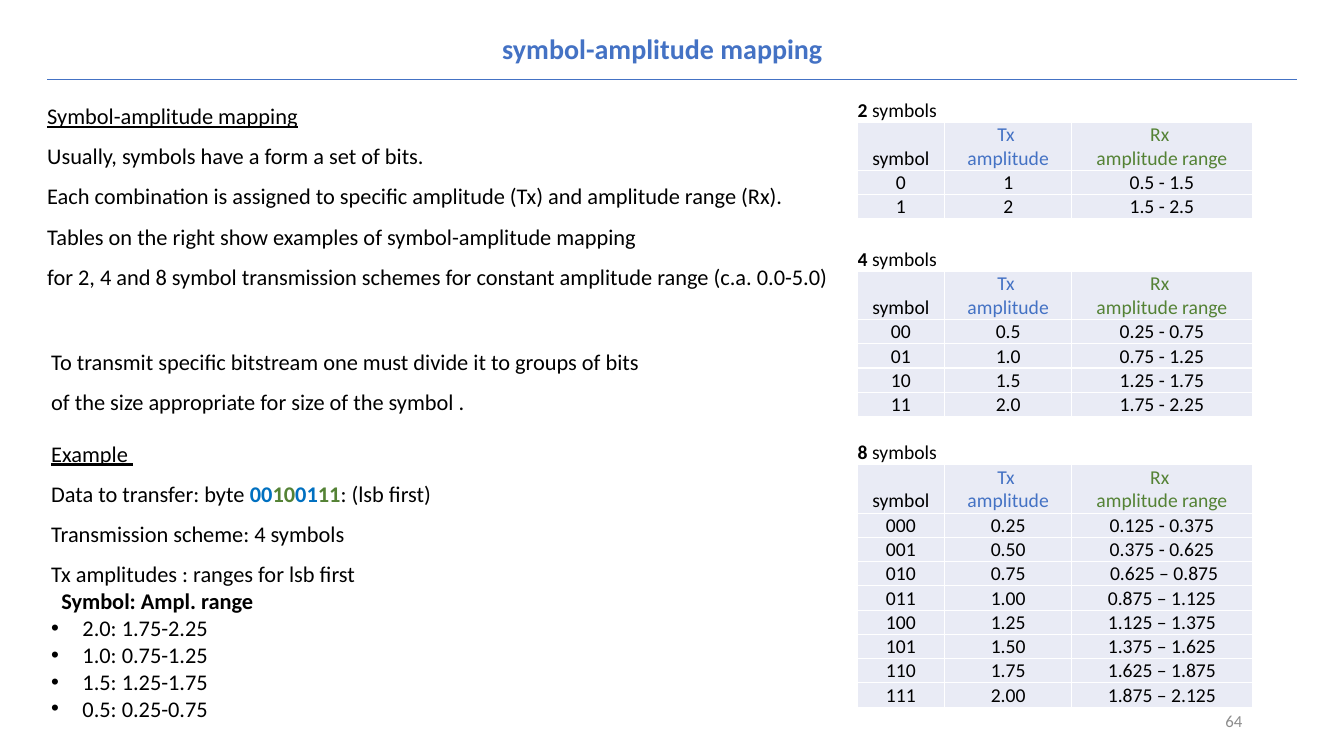
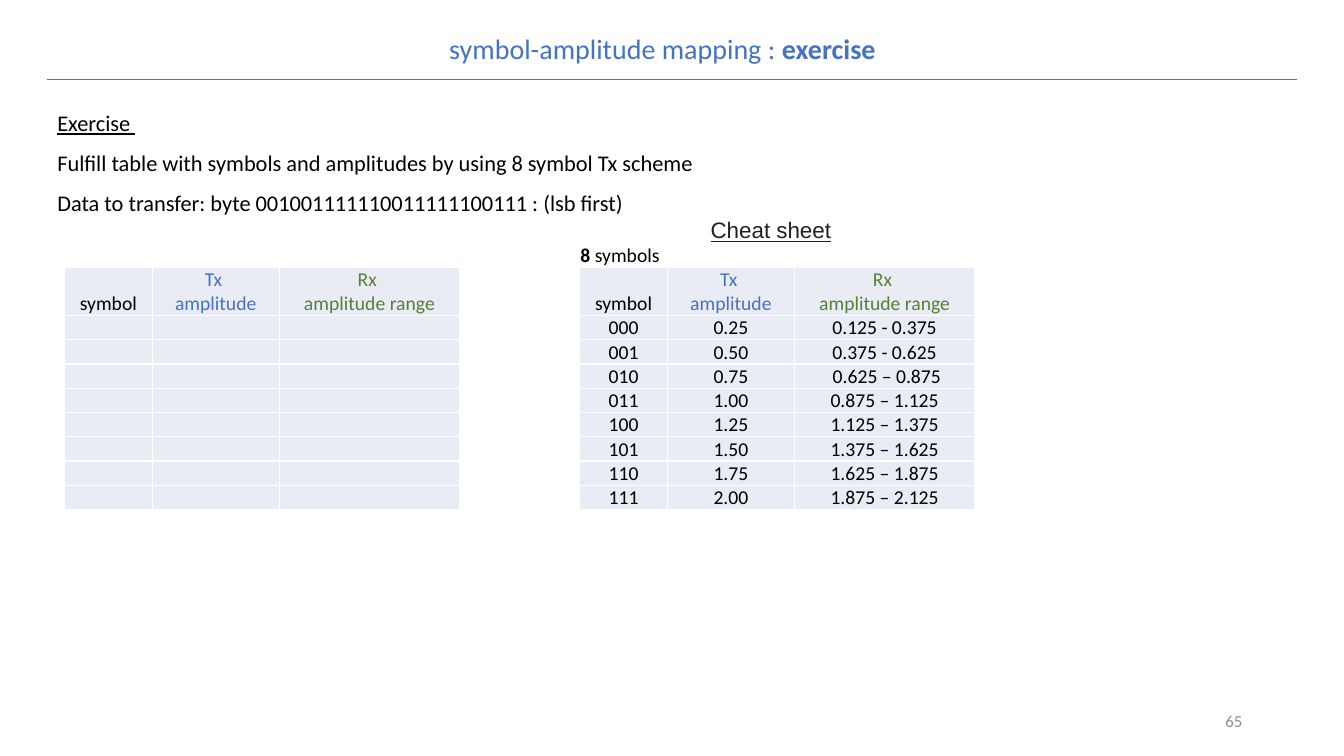
from dataclasses import dataclass

import lxml.etree
import pptx
import pptx.dml.color
import pptx.enum.shapes
import pptx.enum.text
import pptx.oxml.ns
import pptx.util

Inches = pptx.util.Inches
Pt = pptx.util.Pt
qn = pptx.oxml.ns.qn
Align = pptx.enum.text.PP_ALIGN
Anchor = pptx.enum.text.MSO_ANCHOR

COLORS = {
    "text": "000000",
    "blue": "4472C4",
    "green": "548235",
    "bit_blue": "0070C0",
    "cheat": "202124",
    "number": "8C8C8C",
    "cell": "E9EBF5",
    "white": "FFFFFF",
}
FONT = "Calibri"
CELL_SIZE = 14
COLUMN_WIDTHS = (0.87, 1.26, 1.79)
ROW_HEIGHT = 0.24
TABLE_LEFT = 8.5


@dataclass(frozen=True)
class Run:
    text: str
    color: str = ""
    bold: bool = False
    underline: bool = False


@dataclass(frozen=True)
class Para:
    runs: tuple[Run, ...]
    spacing: float = 1.5
    indent: float = 0
    bullet: bool = False


@dataclass(frozen=True)
class Scheme:
    count: str
    rows: tuple[tuple[str, str, str], ...]


TWO_SYMBOLS = Scheme("2", (("0", "1", "0.5 - 1.5"), ("1", "2", "1.5 - 2.5")))
FOUR_SYMBOLS = Scheme("4", (
    ("00", "0.5", "0.25 - 0.75"),
    ("01", "1.0", "0.75 - 1.25"),
    ("10", "1.5", "1.25 - 1.75"),
    ("11", "2.0", "1.75 - 2.25"),
))
EIGHT_SYMBOLS = Scheme("8", (
    ("000", "0.25", "0.125 - 0.375"),
    ("001", "0.50", "0.375 - 0.625"),
    ("010", "0.75", " 0.625 – 0.875"),
    ("011", "1.00", "0.875 – 1.125"),
    ("100", "1.25", "1.125 – 1.375"),
    ("101", "1.50", "1.375 – 1.625"),
    ("110", "1.75", "1.625 – 1.875"),
    ("111", "2.00", "1.875 – 2.125"),
))
EMPTY_SCHEME = Scheme("", (("", "", ""),) * 8)
HEADER = (("symbol", "text"), ("Tx \namplitude", "blue"),
          ("Rx \namplitude range", "green"))


def rgb(name: str) -> pptx.dml.color.RGBColor:
    return pptx.dml.color.RGBColor.from_string(COLORS[name])


def plain(*lines: str, **options) -> list[Para]:
    return [Para((Run(line),), **options) for line in lines]


def heading(text: str) -> Para:
    return Para((Run(text, underline=True),))


def write(frame, paras, *, size: float = 16, color: str = "text", font: str = FONT,
          align=Align.LEFT, after: float = 0) -> None:
    """Fill a text frame with formatted paragraphs."""
    for index, para in enumerate(paras):
        paragraph = frame.add_paragraph() if index else frame.paragraphs[0]
        paragraph.alignment = align
        paragraph.line_spacing = para.spacing
        paragraph.space_after = Pt(after)
        if para.indent:
            properties = paragraph._p.get_or_add_pPr()
            properties.set("marL", str(Inches(para.indent)))
            if para.bullet:
                properties.set("indent", str(-Inches(para.indent)))
                lxml.etree.SubElement(properties, qn("a:buFont"), typeface="Arial")
                lxml.etree.SubElement(properties, qn("a:buChar"), char="•")
        for part in para.runs:
            for line_index, line in enumerate(part.text.split("\n")):
                if line_index:
                    paragraph.add_line_break()
                run = paragraph.add_run()
                run.text = line
                run.font.name = font
                run.font.size = Pt(size)
                run.font.bold = part.bold
                run.font.underline = part.underline
                run.font.color.rgb = rgb(part.color or color)


def add_text(slide, left: float, top: float, width: float, height: float, paras,
             *, anchor=Anchor.TOP, **text_format) -> None:
    box = slide.shapes.add_textbox(Inches(left), Inches(top), Inches(width), Inches(height))
    box.text_frame.word_wrap = True
    box.text_frame.vertical_anchor = anchor
    write(box.text_frame, paras, **text_format)


def style_cell(cell, fill: str) -> None:
    cell.vertical_anchor = Anchor.BOTTOM
    cell.margin_left = cell.margin_right = cell.margin_top = Pt(0.5)
    cell.margin_bottom = 0
    properties = cell._tc.get_or_add_tcPr()
    for side in ("a:lnL", "a:lnR", "a:lnT", "a:lnB"):
        border = lxml.etree.SubElement(properties, qn(side), w=str(Pt(1)))
        solid = lxml.etree.SubElement(border, qn("a:solidFill"))
        lxml.etree.SubElement(solid, qn("a:srgbClr"), val=COLORS["white"])
    cell.fill.solid()
    cell.fill.fore_color.rgb = rgb(fill)


def fill_cell(cell, runs: tuple[Run, ...], align=Align.CENTER) -> None:
    if any(run.text for run in runs):
        write(cell.text_frame, [Para(runs, spacing=1.0)], size=CELL_SIZE, align=align)
    else:
        # An empty cell keeps the row height of the text size
        lxml.etree.SubElement(cell.text_frame.paragraphs[0]._p, qn("a:endParaRPr"),
                              sz=str(CELL_SIZE * 100))


def add_mapping(slide, left: float, top: float, scheme: Scheme) -> None:
    """Draw a caption row, the two-line header and the symbol rows."""
    heights = [ROW_HEIGHT, 2 * ROW_HEIGHT] + [ROW_HEIGHT] * len(scheme.rows)
    mapping = slide.shapes.add_table(
        len(heights), len(COLUMN_WIDTHS), Inches(left), Inches(top),
        Inches(sum(COLUMN_WIDTHS)), Inches(sum(heights))).table
    mapping.first_row = mapping.horz_banding = False
    for column, width in zip(mapping.columns, COLUMN_WIDTHS):
        column.width = Inches(width)
    for row_index, height in enumerate(heights):
        mapping.rows[row_index].height = Inches(height)
        for cell in mapping.rows[row_index].cells:
            style_cell(cell, "cell" if row_index else "white")

    caption = mapping.cell(0, 0)
    caption.merge(mapping.cell(0, len(COLUMN_WIDTHS) - 1))
    caption_runs = (Run(scheme.count, bold=True), Run(" symbols")) if scheme.count else ()
    fill_cell(caption, caption_runs, Align.LEFT)
    for column_index, (label, color) in enumerate(HEADER):
        fill_cell(mapping.cell(1, column_index), (Run(label, color),))
    for row_index, values in enumerate(scheme.rows, start=2):
        for column_index, value in enumerate(values):
            fill_cell(mapping.cell(row_index, column_index), (Run(value),))


def add_page(deck, title: tuple[Run, ...], number: int):
    """Start a slide with the shared title, rule and page number."""
    slide = deck.slides.add_slide(deck.slide_layouts[6])
    add_text(slide, 0.37, 0.24, 12.4, 0.45, [Para(title, spacing=1.07)],
             size=20, color="blue", align=Align.CENTER, after=8)
    rule = slide.shapes.add_connector(
        pptx.enum.shapes.MSO_CONNECTOR.STRAIGHT,
        Inches(0.47), Inches(0.79), Inches(12.86), Inches(0.79))
    rule.line.color.rgb = rgb("blue")
    rule.line.width = Pt(0.5)
    lxml.etree.SubElement(rule._element.spPr, qn("a:effectLst"))
    add_text(slide, 9.42, 6.95, 3, 0.4, plain(str(number), spacing=1.0),
             size=12, color="number", align=Align.RIGHT, anchor=Anchor.MIDDLE)
    return slide


def build_mapping_slide(deck) -> None:
    slide = add_page(deck, (Run("symbol-amplitude mapping", bold=True),), 64)

    # Explanation
    add_text(slide, 0.37, 0.83, 8.04, 2.08, [
        heading("Symbol-amplitude mapping"),
        *plain(
            "Usually, symbols have a form a set of bits.",
            "Each combination is assigned to specific amplitude (Tx) and amplitude range (Rx).",
            "Tables on the right show examples of symbol-amplitude mapping",
            "for 2, 4 and 8 symbol transmission schemes for constant amplitude range "
            "(c.a. 0.0-5.0)"),
    ])
    add_text(slide, 0.41, 3.27, 7.15, 0.87, plain(
        "To transmit specific bitstream one must divide it to groups of bits",
        "of the size appropriate for size of the symbol ."))

    # Worked example
    bit_pairs = [Run(pair, ("bit_blue", "green")[index % 2], bold=True)
                 for index, pair in enumerate(("00", "10", "01", "11"))]
    add_text(slide, 0.41, 4.18, 4.08, 3.06, [
        heading("Example "),
        Para((Run("Data to transfer: byte "), *bit_pairs, Run(": (lsb first)"))),
        *plain("Transmission scheme: 4 symbols", "Tx amplitudes : ranges for lsb first"),
        Para((Run("Symbol: Ampl. range", bold=True),), spacing=1.0, indent=0.1),
        *plain("2.0: 1.75-2.25", "1.0: 0.75-1.25", "1.5: 1.25-1.75", "0.5: 0.25-0.75",
               spacing=1.0, indent=0.31, bullet=True),
    ])

    # Mapping tables
    for top, scheme in ((0.97, TWO_SYMBOLS), (2.45, FOUR_SYMBOLS), (4.37, EIGHT_SYMBOLS)):
        add_mapping(slide, TABLE_LEFT, top, scheme)


def build_exercise_slide(deck) -> None:
    slide = add_page(
        deck, (Run("symbol-amplitude mapping : "), Run("exercise", bold=True)), 65)

    # Task
    add_text(slide, 0.47, 0.9, 6.71, 1.27, [
        heading("Exercise "),
        *plain("Fulfill table with symbols and amplitudes by using 8 symbol Tx scheme\n"
               "Data to transfer: byte 001001111110011111100111 : (lsb first)"),
    ])

    # Table to complete and cheat sheet
    for left, scheme in ((0.64, EMPTY_SCHEME), (5.75, EIGHT_SYMBOLS)):
        add_mapping(slide, left, 2.41, scheme)
    add_text(slide, 6.95, 2.1, 1.64, 0.37,
             [Para((Run("Cheat sheet", underline=True),), spacing=1.0)],
             color="cheat", font="Arial")


def main() -> None:
    deck = pptx.Presentation()
    deck.slide_width = Inches(13.33)
    deck.slide_height = Inches(7.5)
    build_mapping_slide(deck)
    build_exercise_slide(deck)
    deck.save("out.pptx")


if __name__ == "__main__":
    main()
